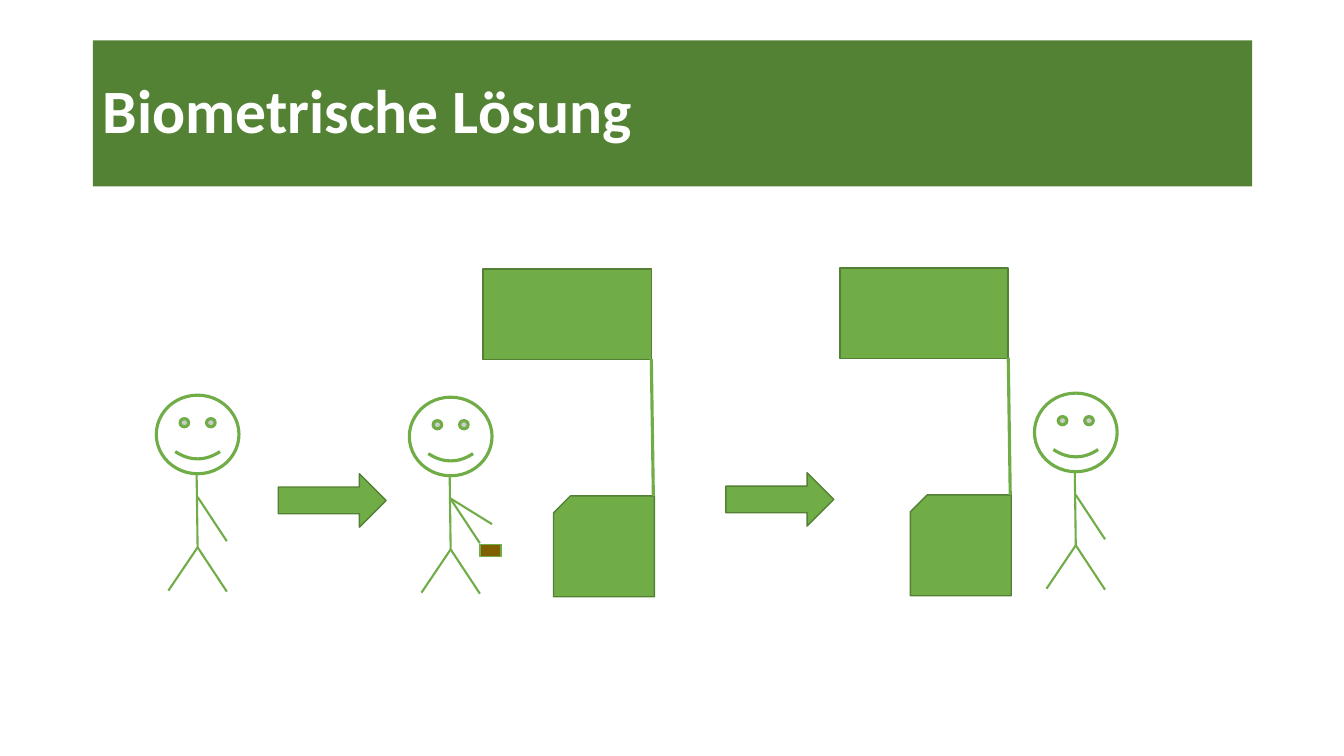
from lxml.etree import SubElement
from pptx import Presentation
from pptx.dml.color import RGBColor
from pptx.enum.shapes import MSO_CONNECTOR as Connector, MSO_SHAPE as Shape
from pptx.enum.text import MSO_ANCHOR as Anchor, PP_ALIGN as Align
from pptx.oxml.ns import qn
from pptx.util import Inches, Pt

WHITE = RGBColor(0xFF, 0xFF, 0xFF)
GREEN = RGBColor(0x70, 0xAD, 0x47)
EDGE_GREEN = RGBColor(0x53, 0x80, 0x35)
BANNER_GREEN = RGBColor(0x54, 0x82, 0x35)
BROWN = RGBColor(0x80, 0x60, 0x00)


class Scene:
    """Draws the elements of the biometric scene on one slide."""

    def __init__(self, slide):
        self.slide = slide
        self.font = "Calibri"

    def title(self, wording, left, top, width, height):
        """Fill the title placeholder as a green banner."""
        banner = self.slide.shapes.title
        banner.left, banner.top = Inches(left), Inches(top)
        banner.width, banner.height = Inches(width), Inches(height)
        banner.fill.solid()
        banner.fill.fore_color.rgb = BANNER_GREEN
        banner.text_frame.text = wording
        banner.text_frame.vertical_anchor = Anchor.MIDDLE
        heading = banner.text_frame.paragraphs[0]
        heading.alignment = Align.LEFT
        heading.line_spacing = 0.9
        font = heading.runs[0].font
        font.name, font.size, font.bold = self.font, Pt(44), True
        font.color.rgb = WHITE

    def shape(self, kind, left, top, width, height,
              fill=GREEN, edge=EDGE_GREEN, weight=1):
        """Add a filled and outlined preset shape."""
        item = self.slide.shapes.add_shape(
            kind, Inches(left), Inches(top), Inches(width), Inches(height))
        item.shadow.inherit = False
        item.fill.solid()
        item.fill.fore_color.rgb = fill
        item.line.color.rgb = edge
        item.line.width = Pt(weight)
        return item

    def line(self, x1, y1, x2, y2, weight=1.5):
        """Add a straight green line."""
        stroke = self.slide.shapes.add_connector(
            Connector.STRAIGHT, Inches(x1), Inches(y1), Inches(x2), Inches(y2))
        stroke.line.color.rgb = GREEN
        stroke.line.width = Pt(weight)
        SubElement(stroke._element.spPr, qn("a:effectLst"))

    def person(self, left, top):
        """Add a stick figure whose head starts at the given corner."""
        self.shape(Shape.SMILEY_FACE, left, top, 0.82, 0.78, WHITE, GREEN, 2.25)
        spine, hip = left + 0.41, top + 1.51
        self.line(spine - 0.01, top + 0.78, spine, hip)
        self.line(spine, hip, spine - 0.29, hip + 0.43)
        self.line(spine, hip, spine + 0.29, hip + 0.44)
        self.line(spine, top + 1.01, spine + 0.29, top + 1.45)

    def gate(self, left, top):
        """Add a scanner gate: cabinet, display and the post between."""
        cabinet = self.shape(Shape.SNIP_1_RECTANGLE, left + 0.7, top + 2.25, 1, 1)
        cabinet.rotation = 270
        self.shape(Shape.RECTANGLE, left, top, 1.67, 0.9)
        self.line(left + 1.67, top + 0.89, left + 1.69, top + 2.25, 2.25)

    def arrow(self, left, top):
        """Add a block arrow to the next step."""
        self.shape(Shape.RIGHT_ARROW, left, top, 1.07, 0.53)


def main():
    """Build and save the slide."""
    deck = Presentation()
    deck.slide_width, deck.slide_height = Inches(13.33), Inches(7.5)
    scene = Scene(deck.slides.add_slide(deck.slide_layouts[5]))
    scene.title("Biometrische Lösung", 0.92, 0.4, 11.5, 1.45)

    for gate_left, gate_top in ((4.79, 2.67), (8.33, 2.66)):
        scene.gate(gate_left, gate_top)
    for person_left, person_top in ((1.55, 3.92), (4.06, 3.94), (10.26, 3.9)):
        scene.person(person_left, person_top)
    for arrow_left, arrow_top in ((2.76, 4.7), (7.2, 4.69)):
        scene.arrow(arrow_left, arrow_top)

    scene.shape(Shape.RECTANGLE, 4.76, 5.4, 0.21, 0.12, BROWN, GREEN)
    scene.line(4.46, 4.94, 4.88, 5.2)
    deck.save("out.pptx")


if __name__ == "__main__":
    main()
